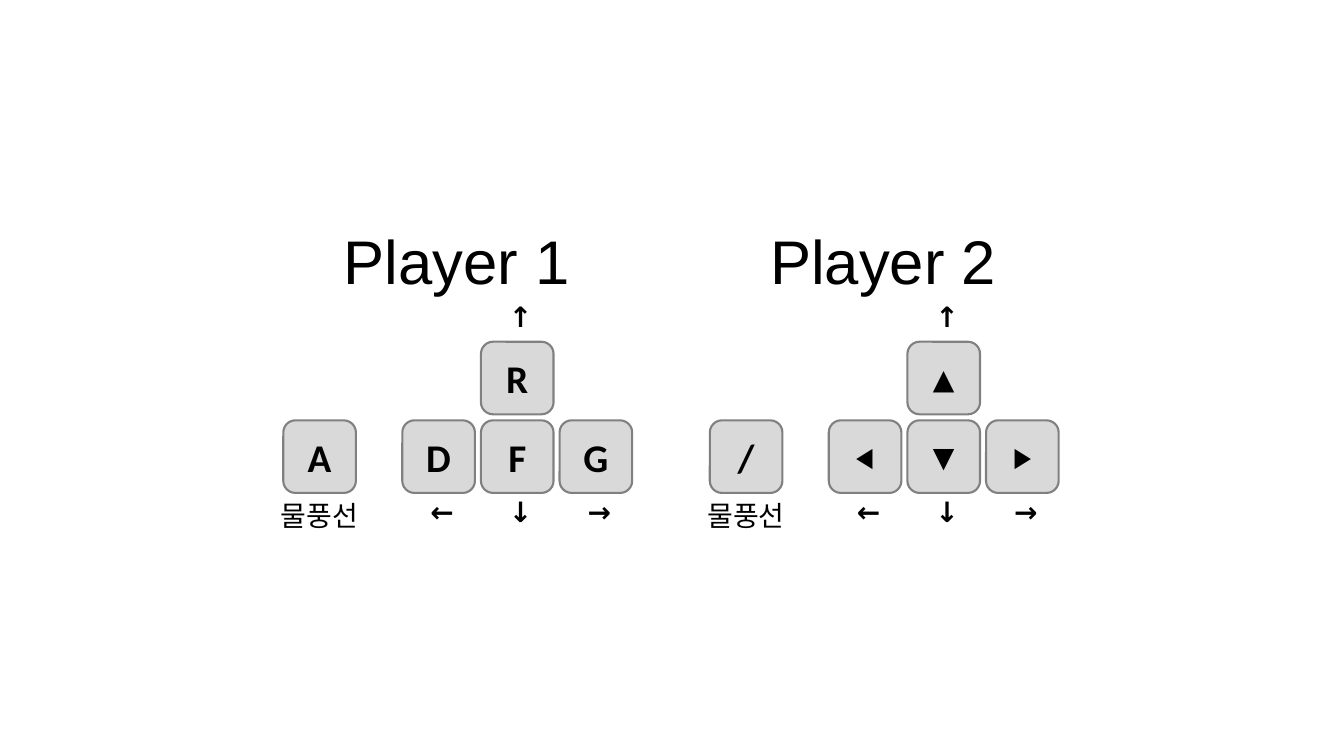
from dataclasses import dataclass

from pptx import Presentation
from pptx.dml.color import RGBColor as RGB
from pptx.enum.shapes import MSO_SHAPE as SHAPE
from pptx.enum.text import MSO_ANCHOR as ANCHOR, MSO_AUTO_SIZE as FIT, PP_ALIGN as ALIGN
from pptx.util import Inches, Pt


@dataclass(frozen=True)
class Theme:
    """Colours, fonts and type sizes of the slide."""
    ink: RGB = RGB(0, 0, 0)
    key_fill: RGB = RGB(0xD9, 0xD9, 0xD9)
    key_line: RGB = RGB(0x80, 0x80, 0x80)
    body: str = "Arial"
    key: str = "Calibri"
    arrow: str = "Roboto Condensed"
    title_size: int = 44
    letter_size: int = 28
    small_size: int = 20


T = Theme()

# Key grid, in inches
KEY, PITCH = 0.72, 0.78
PAD_LEFT, PAD_TOP = 3.99, 3.39
ACTION_LEFT = 2.81
PLAYER_STEP = 4.23
LABEL_H = 0.44


def write(sp, text, font=T.body, size=T.small_size, bold=False):
    """Put one centred line of formatted text in a shape."""
    tf = sp.text_frame
    tf.word_wrap = True
    p = tf.paragraphs[0]
    p.alignment = ALIGN.CENTER
    r = p.add_run()
    r.text = text
    r.font.name, r.font.size, r.font.bold = font, Pt(size), bold
    r.font.color.rgb = T.ink
    return tf


def add_label(grp, center, top, width, height, text, **fmt):
    """Add a text box centred on an x position."""
    sp = grp.shapes.add_textbox(Inches(center - width / 2), Inches(top),
                                Inches(width), Inches(height))
    write(sp, text, **fmt).auto_size = FIT.SHAPE_TO_FIT_TEXT


prs = Presentation()
prs.slide_width, prs.slide_height = Inches(13.33), Inches(7.5)
s = prs.slides.add_slide(prs.slide_layouts[6])

# Title, action key, direction keys (up, left, down, right), direction key size
players = [
    ("Player 1", "A", "RDFG", T.letter_size),
    ("Player 2", "/", "▲◀▼▶", T.small_size),
]
# Column, row, arrow, top of the arrow
directions = [(1, 0, "↑", 2.92), (0, 1, "←", 4.86), (1, 1, "↓", 4.86), (2, 1, "→", 4.86)]

for i, (title, action, pad, pad_size) in enumerate(players):
    dx = i * PLAYER_STEP
    grp = s.shapes.add_group_shape()
    add_label(grp, 4.53 + dx, 2.16, 4.86, 0.84, title, size=T.title_size)

    keys = [(ACTION_LEFT + dx, 1, action, T.letter_size)]
    for (col, row, arrow, top), face in zip(directions, pad):
        left = PAD_LEFT + col * PITCH + dx
        keys.append((left, row, face, pad_size))
        add_label(grp, left + KEY / 2, top, KEY / 2, LABEL_H, arrow,
                  font=T.arrow, bold=True)

    for left, row, face, size in keys:
        sp = grp.shapes.add_shape(SHAPE.ROUNDED_RECTANGLE, Inches(left),
                                  Inches(PAD_TOP + row * PITCH), Inches(KEY), Inches(KEY))
        sp.shadow.inherit = False
        sp.fill.solid()
        sp.fill.fore_color.rgb = T.key_fill
        sp.line.color.rgb, sp.line.width = T.key_line, Pt(1.5)
        write(sp, face, font=T.key, size=size, bold=True).vertical_anchor = ANCHOR.MIDDLE

    add_label(grp, ACTION_LEFT + KEY / 2 + dx, 4.9, 0.98, LABEL_H, "물풍선")

prs.save("out.pptx")
